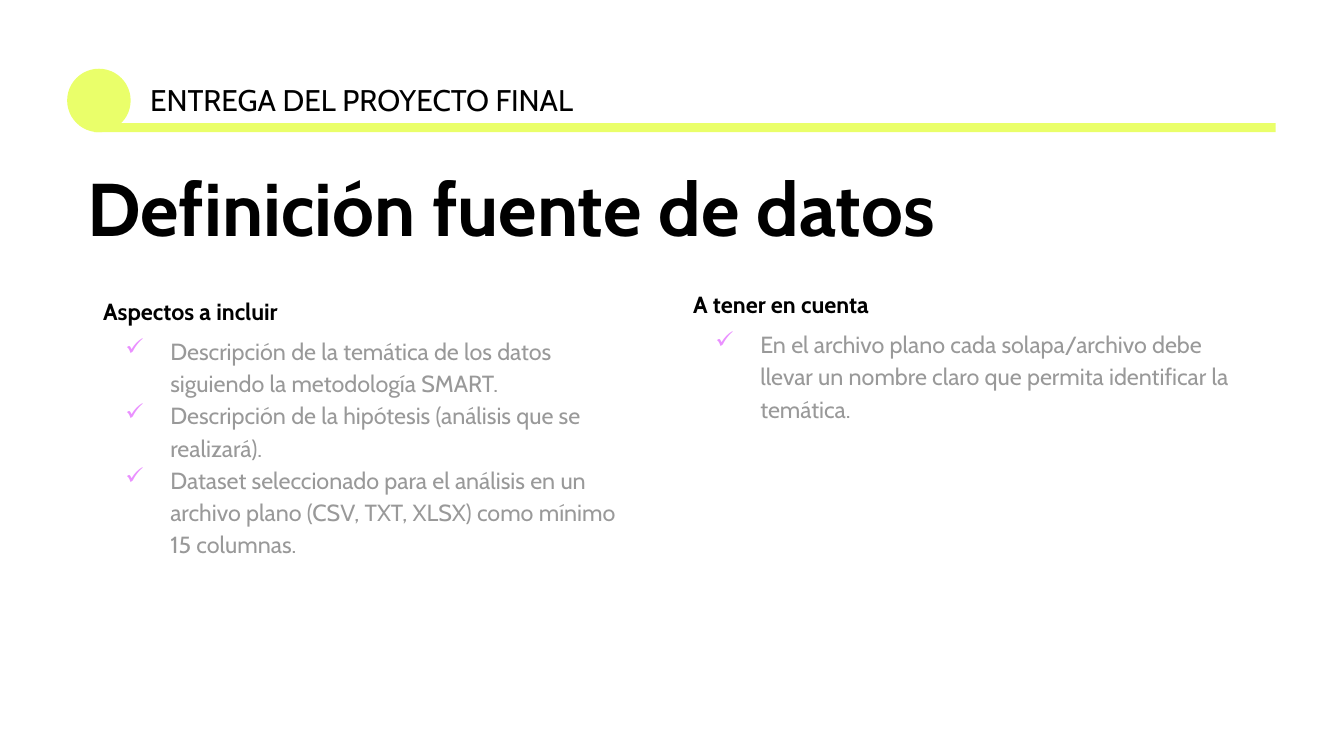
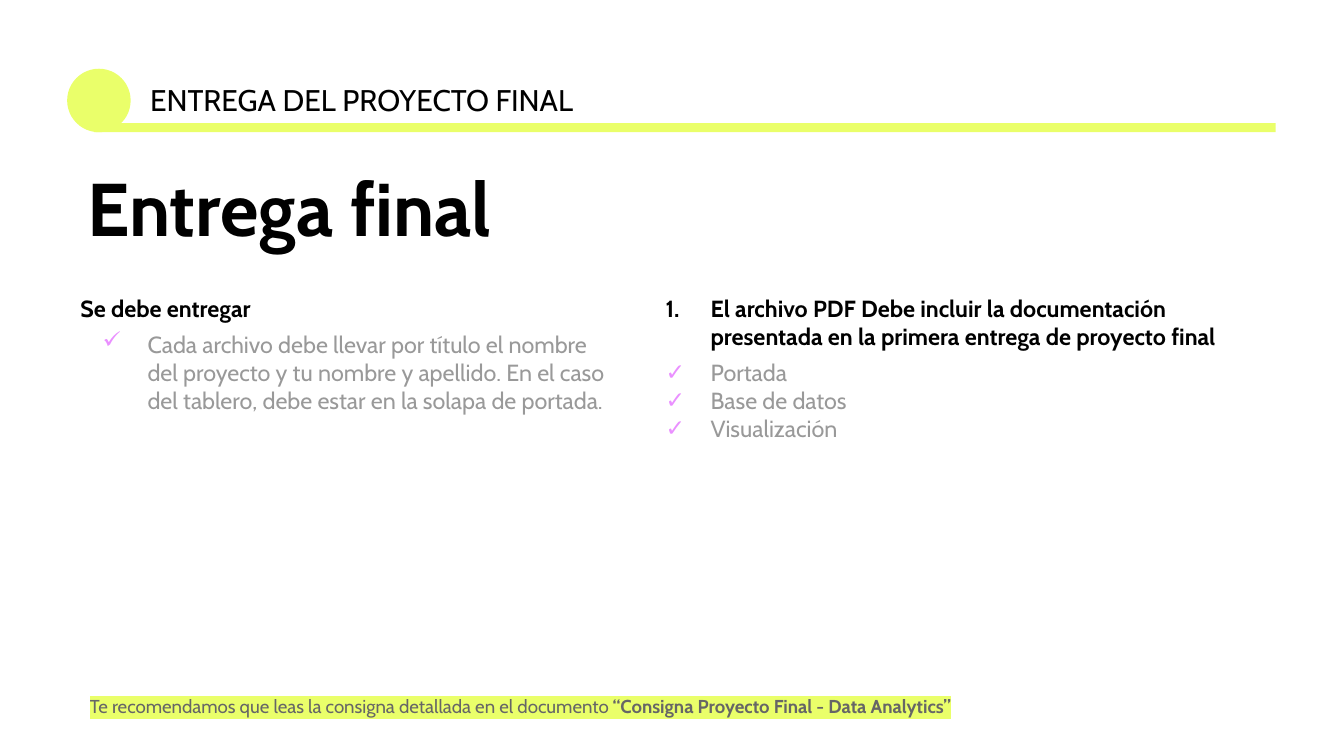
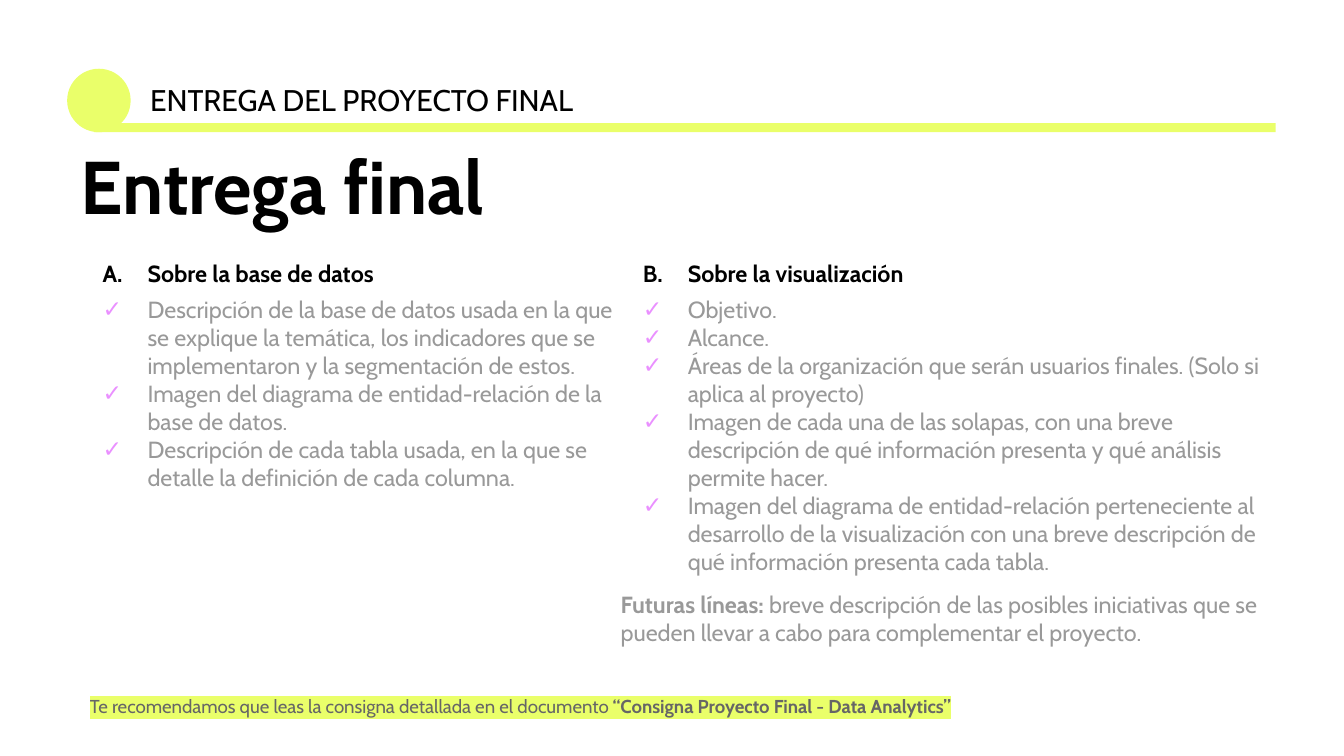
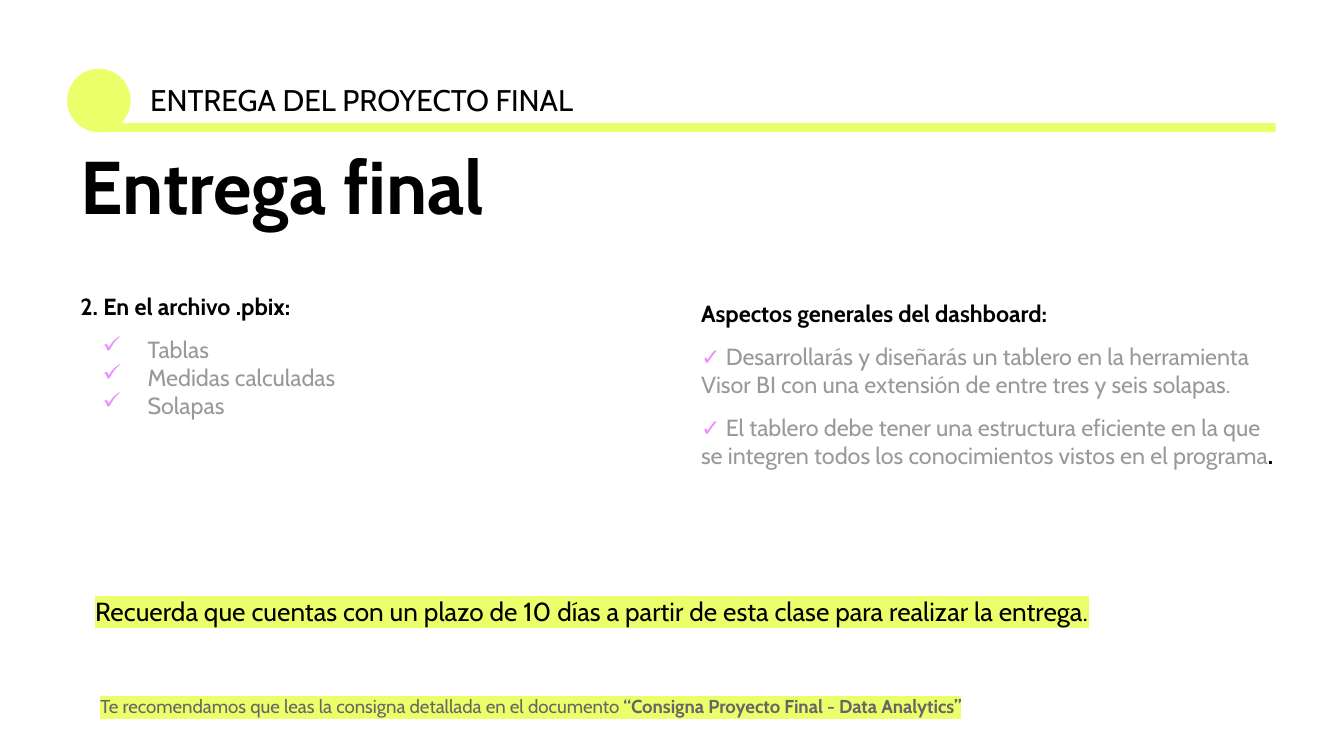
from lxml.etree import SubElement
from pptx import Presentation
from pptx.dml.color import RGBColor
from pptx.enum.shapes import MSO_SHAPE
from pptx.enum.text import MSO_ANCHOR, MSO_AUTO_SIZE
from pptx.oxml import parse_xml
from pptx.oxml.ns import nsdecls, qn
from pptx.util import Cm, Pt

# Shared look
COLORS = {
    "lime": "EAFF6A", "violet": "EA90FF", "black": "000000",
    "gray": "999999", "dark_gray": "666666", "white": "FFFFFF",
}
FONT = "Cabin"
RUN_STYLES = {
    "title": {"size": 40, "color": "black", "bold": True},
    "section": {"size": 16, "color": "black"},
    "heading": {"size": 12.5, "color": "black", "bold": True},
    "body": {"size": 12.5, "color": "gray"},
    "strong": {"size": 12.5, "color": "gray", "bold": True},
    "check": {"size": 12.5, "color": "violet"},
    "reminder": {"size": 14, "color": "black", "highlight": "lime"},
    "note": {"size": 10, "color": "dark_gray", "highlight": "lime"},
    "note_strong": {"size": 10, "color": "dark_gray", "highlight": "lime", "bold": True},
}
CHECK, INDENT, HANGING = "✓", 1.27, 0.85
FIRST_GAP, WIDE_GAP = 4.5, 8

# Shared content
SECTION = "ENTREGA DEL PROYECTO FINAL"
NOTE = [("note", "Te recomendamos que leas la consigna detallada en el documento "),
        ("note_strong", "“Consigna Proyecto Final - Data Analytics”")]
TITLE_LOW, TITLE_HIGH = (1.4, 3), (1.27, 2.59)

# Slides: each column has a place (left, top, width, height), a heading,
# checked items and closing paragraphs made of styled runs
SLIDES = [
    {"title": "Definición fuente de datos", "title_at": TITLE_LOW, "columns": [
        {"at": (1.7, 5.36, 10.64, 6.1), "heading": "Aspectos a incluir", "line_spacing": 1.15,
         "items": [
             "Descripción de la temática de los datos siguiendo la metodología SMART.",
             "Descripción de la hipótesis (análisis que se realizará).",
             "Dataset seleccionado para el análisis en un archivo plano (CSV, TXT, XLSX) "
             "como mínimo 15 columnas."]},
        {"at": (12.85, 5.23, 10.64, 2.97), "heading": "A tener en cuenta", "line_spacing": 1.15,
         "items": [
             "En el archivo plano cada solapa/archivo debe llevar un nombre claro que "
             "permita identificar la temática."]},
    ]},
    {"title": "Entrega final", "title_at": TITLE_LOW, "note_left": 1.45, "columns": [
        {"at": (1.27, 5.31, 10.64, 5.72), "heading": "Se debe entregar",
         "items": [
             "Cada archivo debe llevar por título el nombre del proyecto y tu nombre y "
             "apellido. En el caso del tablero, debe estar en la solapa de portada."]},
        {"at": (11.91, 5.31, 12.17, 3.89), "number": ("arabicPeriod", 1),
         "heading": "El archivo PDF Debe incluir la documentación presentada en la "
                    "primera entrega de proyecto final",
         "items": ["Portada", "Base de datos", "Visualización"]},
    ]},
    {"title": "Entrega final", "title_at": TITLE_HIGH, "note_left": 1.45, "columns": [
        {"at": (1.27, 4.65, 10.64, 5.49), "number": ("alphaUcPeriod", 1),
         "heading": "Sobre la base de datos",
         "items": [
             "Descripción de la base de datos usada en la que se explique la temática, los "
             "indicadores que se implementaron y la segmentación de estos.",
             "Imagen del diagrama de entidad-relación de la base de datos.",
             "Descripción de cada tabla usada, en la que se detalle la definición de cada "
             "columna."]},
        {"at": (11.48, 4.65, 13.13, 8.43), "number": ("alphaUcPeriod", 2),
         "heading": "Sobre la visualización",
         "items": [
             "Objetivo.",
             "Alcance.",
             "Áreas de la organización que serán usuarios finales. (Solo si aplica al proyecto)",
             "Imagen de cada una de las solapas, con una breve descripción de qué "
             "información presenta y qué análisis permite hacer.",
             "Imagen del diagrama de entidad-relación perteneciente al desarrollo de la "
             "visualización con una breve descripción de qué información presenta cada tabla."],
         "closing": [
             [("strong", "Futuras líneas:"),
              ("body", " breve descripción de las posibles iniciativas que se pueden llevar "
                       "a cabo para complementar el proyecto.")]]},
    ]},
    {"title": "Entrega final", "title_at": TITLE_HIGH, "note_left": 1.65,
     "reminder": "Recuerda que cuentas con un plazo de 10 días a partir de esta clase para "
                 "realizar la entrega.",
     "columns": [
        {"at": (1.27, 5.28, 10.64, 4.65), "heading": "2. En el archivo .pbix:",
         "first_gap": WIDE_GAP, "items": ["Tablas", "Medidas calculadas", "Solapas"]},
        {"at": (13, 5.41, 11.53, 4.83), "heading": "Aspectos generales del dashboard:",
         "closing": [
             [("check", CHECK),
              ("body", " Desarrollarás y diseñarás un tablero en la herramienta Visor BI con "
                       "una extensión de entre tres y seis solapas.")],
             [("check", CHECK),
              ("body", " El tablero debe tener una estructura eficiente en la que se integren "
                       "todos los conocimientos vistos en el programa"),
              ("heading", ".")]]},
    ]},
]


def rgb(name):
    return RGBColor.from_string(COLORS[name])


def add_run(paragraph, style_name, text):
    style = RUN_STYLES[style_name]
    run = paragraph.add_run()
    run.text = text
    values = {"name": FONT, "size": Pt(style["size"]), "bold": style.get("bold", False)}
    for attribute, value in values.items():
        setattr(run.font, attribute, value)
    run.font.color.rgb = rgb(style["color"])
    if "highlight" in style:
        highlight = parse_xml(
            f'<a:highlight {nsdecls("a")}><a:srgbClr val="{COLORS[style["highlight"]]}"/></a:highlight>')
        run.font.fill._xPr.find(qn("a:solidFill")).addnext(highlight)


def add_bullet(paragraph, color, number=None):
    properties = paragraph._p.get_or_add_pPr()
    properties.set("marL", str(Cm(INDENT)))
    properties.set("indent", str(-Cm(HANGING)))
    SubElement(SubElement(properties, qn("a:buClr")), qn("a:srgbClr"), val=COLORS[color])
    if number:
        scheme, start = number
        SubElement(properties, qn("a:buFont"), typeface=FONT)
        SubElement(properties, qn("a:buAutoNum"), type=scheme, startAt=str(start))
    else:
        SubElement(properties, qn("a:buChar"), char=CHECK)


def add_text(slide, place, paragraphs):
    """Each paragraph is (runs, paragraph format, bullet arguments or None)."""
    frame = slide.shapes.add_textbox(*map(Cm, place)).text_frame
    values = {"word_wrap": True, "auto_size": MSO_AUTO_SIZE.SHAPE_TO_FIT_TEXT,
              "vertical_anchor": MSO_ANCHOR.TOP}
    values.update({f"margin_{side}": Cm(0.25) for side in ("left", "top", "right", "bottom")})
    for attribute, value in values.items():
        setattr(frame, attribute, value)
    for index, (runs, paragraph_format, bullet) in enumerate(paragraphs):
        paragraph = frame.add_paragraph() if index else frame.paragraphs[0]
        for attribute, value in paragraph_format.items():
            setattr(paragraph, attribute, value)
        if bullet:
            add_bullet(paragraph, *bullet)
        for style_name, text in runs:
            add_run(paragraph, style_name, text)


def add_lime_shape(slide, kind, place):
    shape = slide.shapes.add_shape(kind, *map(Cm, place))
    shape.shadow.inherit = False
    shape.fill.solid()
    shape.fill.fore_color.rgb = rgb("lime")
    shape.line.fill.background()


def add_column(slide, column):
    number = column.get("number")
    paragraphs = [([("heading", column["heading"])], {}, ("black", number) if number else None)]
    for index, item in enumerate(column.get("items", [])):
        gap = 0 if index else column.get("first_gap", FIRST_GAP)
        paragraph_format = {"space_before": Pt(gap), "line_spacing": column.get("line_spacing", 1.0)}
        paragraphs.append(([("body", item)], paragraph_format, ("violet",)))
    for runs in column.get("closing", []):
        paragraphs.append((runs, {"space_before": Pt(WIDE_GAP)}, None))
    add_text(slide, column["at"], paragraphs)


def add_slide(presentation, content):
    slide = presentation.slides.add_slide(presentation.slide_layouts[6])
    slide.background.fill.solid()
    slide.background.fill.fore_color.rgb = rgb("white")

    # Section band and title
    add_lime_shape(slide, MSO_SHAPE.OVAL, (1.27, 1.3, 1.2, 1.2))
    add_lime_shape(slide, MSO_SHAPE.RECTANGLE, (1.78, 2.33, 22.33, 0.17))
    add_text(slide, (2.59, 1.3, 8.89, 1.2), [([("section", SECTION)], {}, None)])
    add_text(slide, (*content["title_at"], 20.3, 2.06),
             [([("title", content["title"])], {"line_spacing": 0.9}, None)])

    # Body
    for column in content["columns"]:
        add_column(slide, column)

    # Highlighted lines at the foot
    if "reminder" in content:
        add_text(slide, (1.55, 11, 20.4, 1.7), [([("reminder", content["reminder"])], {}, None)])
    if "note_left" in content:
        add_text(slide, (content["note_left"], 12.93, 20.22, 0.94), [(NOTE, {}, None)])


def main():
    presentation = Presentation()
    presentation.slide_width, presentation.slide_height = Cm(25.4), Cm(14.29)
    for content in SLIDES:
        add_slide(presentation, content)
    presentation.save("out.pptx")


if __name__ == "__main__":
    main()
